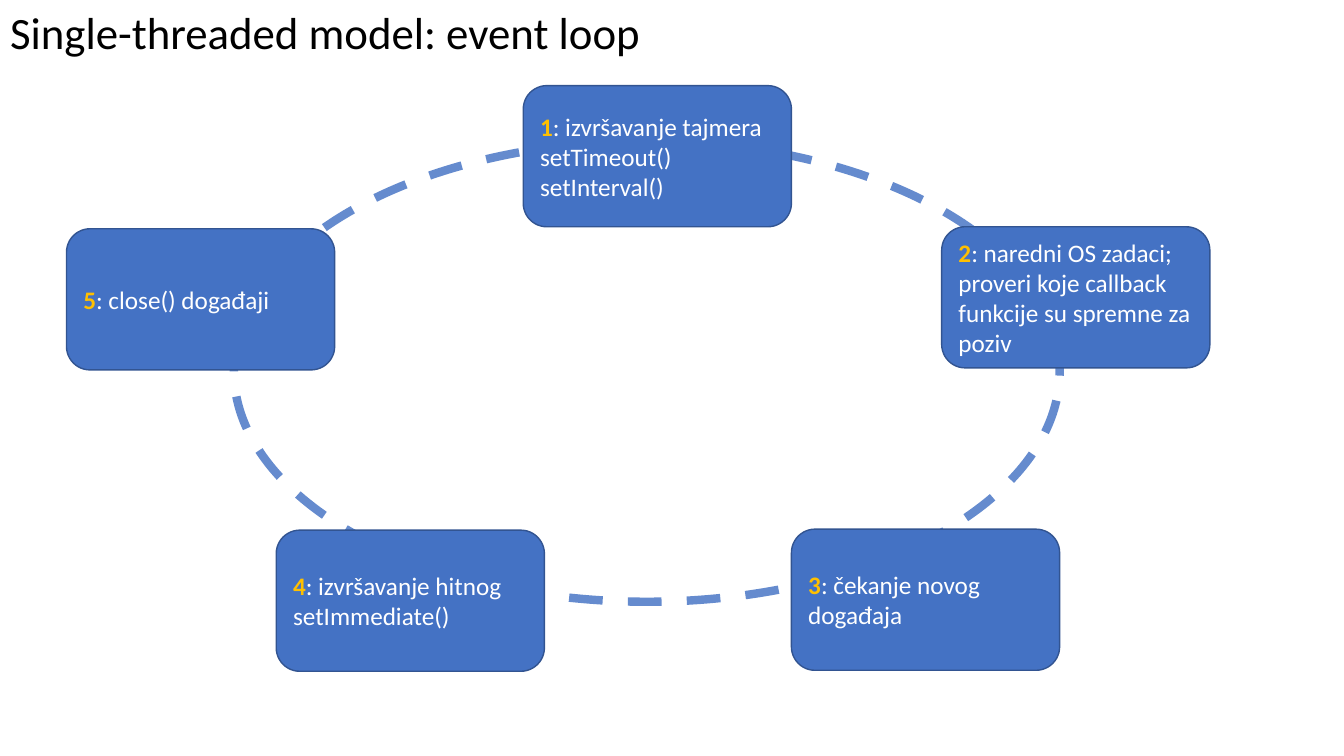
from lxml.etree import SubElement
from pptx import Presentation
from pptx.dml.color import RGBColor
from pptx.enum.dml import MSO_LINE
from pptx.enum.shapes import MSO_SHAPE
from pptx.enum.text import MSO_ANCHOR, MSO_AUTO_SIZE, PP_ALIGN
from pptx.oxml.ns import qn
from pptx.util import Inches, Pt

TITLE = "Single-threaded model: event loop"
PHASES = [
    (5.19, 0.85, ["izvršavanje tajmera", "setTimeout()", "setInterval()"]),
    (9.34, 2.25, ["naredni OS zadaci;", "proveri koje callback funkcije su spremne za poziv"]),
    (7.85, 5.25, ["čekanje novog događaja"]),
    (2.74, 5.26, ["izvršavanje hitnog setImmediate()"]),
    (0.66, 2.27, ["close() događaji"]),
]
PHASE_WIDTH, PHASE_HEIGHT = Inches(2.66), Inches(1.4)
LOOP_BOX = [Inches(value) for value in (2.32, 1.4, 8.19, 4.57)]
LOOP_OPACITY = 82
FONT = "Calibri"
BLUE = RGBColor(0x44, 0x72, 0xC4)
DARK_BLUE = RGBColor(0x32, 0x54, 0x91)
GOLD = RGBColor(0xFF, 0xC0, 0x00)
WHITE = RGBColor(0xFF, 0xFF, 0xFF)
BLACK = RGBColor(0x00, 0x00, 0x00)


def add_title(slide):
    title = slide.shapes.title
    title.left, title.top = Inches(0), Inches(0)
    title.width, title.height = Inches(6.52), Inches(0.64)
    frame = title.text_frame
    frame.text = TITLE
    frame.word_wrap = False
    frame.auto_size = MSO_AUTO_SIZE.NONE
    frame.vertical_anchor = MSO_ANCHOR.TOP
    paragraph = frame.paragraphs[0]
    paragraph.alignment = PP_ALIGN.LEFT
    paragraph.font.name = FONT
    paragraph.font.size = Pt(32)
    paragraph.font.color.rgb = BLACK


def add_loop(slide):
    loop = slide.shapes.add_shape(MSO_SHAPE.OVAL, *LOOP_BOX)
    loop.shadow.inherit = False
    loop.fill.background()
    loop.line.color.rgb = BLUE
    loop.line.width = Pt(6)
    loop.line.dash_style = MSO_LINE.DASH
    color = loop.line._ln.find(".//" + qn("a:srgbClr"))
    SubElement(color, qn("a:alpha")).set("val", str(LOOP_OPACITY * 1000))


def add_run(paragraph, text, color, bold=False):
    run = paragraph.add_run()
    run.text = text
    run.font.color.rgb = color
    run.font.bold = bold


def add_phase(slide, number, left, top, lines):
    phase = slide.shapes.add_shape(
        MSO_SHAPE.ROUNDED_RECTANGLE, Inches(left), Inches(top), PHASE_WIDTH, PHASE_HEIGHT
    )
    phase.shadow.inherit = False
    phase.fill.solid()
    phase.fill.fore_color.rgb = BLUE
    phase.line.color.rgb = DARK_BLUE
    phase.line.width = Pt(1)
    frame = phase.text_frame
    frame.word_wrap = True
    frame.vertical_anchor = MSO_ANCHOR.MIDDLE
    for index, line in enumerate(lines):
        paragraph = frame.add_paragraph() if index else frame.paragraphs[0]
        paragraph.alignment = PP_ALIGN.LEFT
        paragraph.font.name = FONT
        paragraph.font.size = Pt(18)
        if index == 0:
            add_run(paragraph, str(number), GOLD, bold=True)
            line = f": {line}"
        add_run(paragraph, line, WHITE)


def main():
    presentation = Presentation()
    presentation.slide_width = Inches(13.33)
    presentation.slide_height = Inches(7.5)
    slide = presentation.slides.add_slide(presentation.slide_layouts[5])
    add_title(slide)
    add_loop(slide)
    for number, (left, top, lines) in enumerate(PHASES, start=1):
        add_phase(slide, number, left, top, lines)
    presentation.save("out.pptx")


if __name__ == "__main__":
    main()
